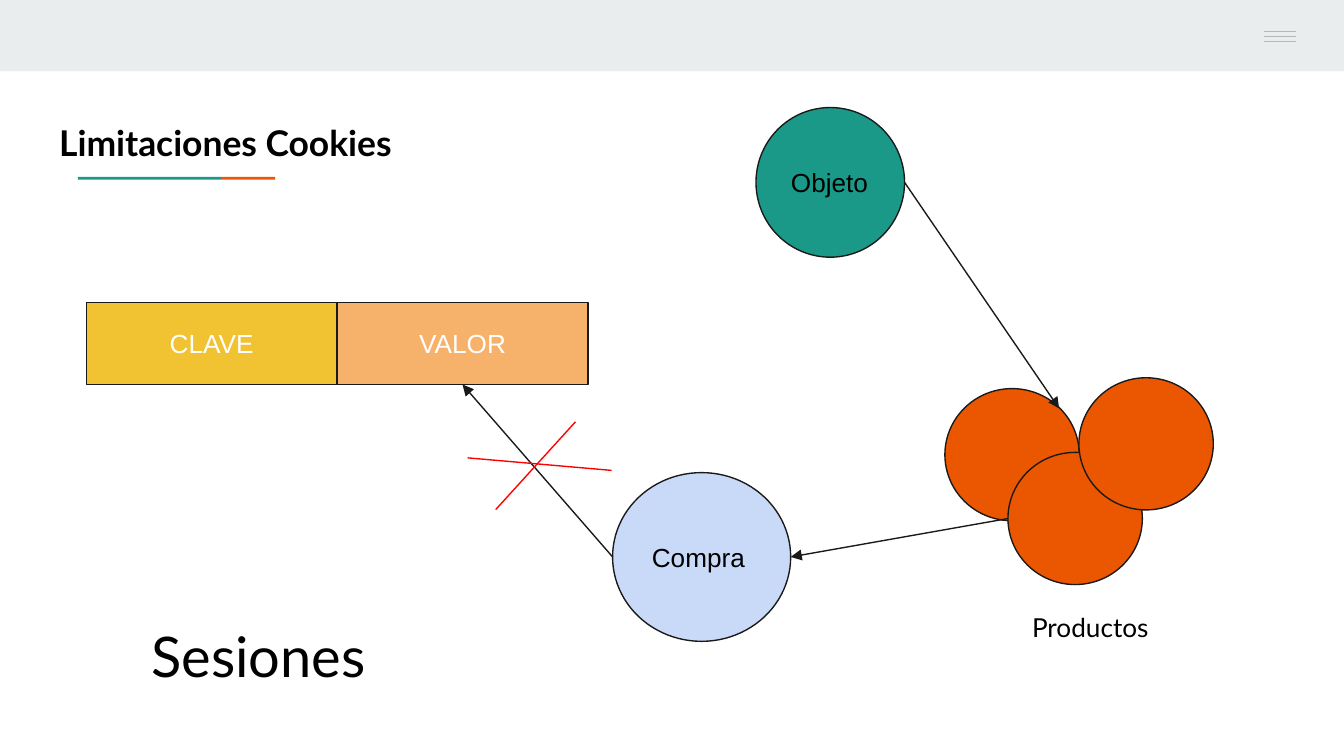
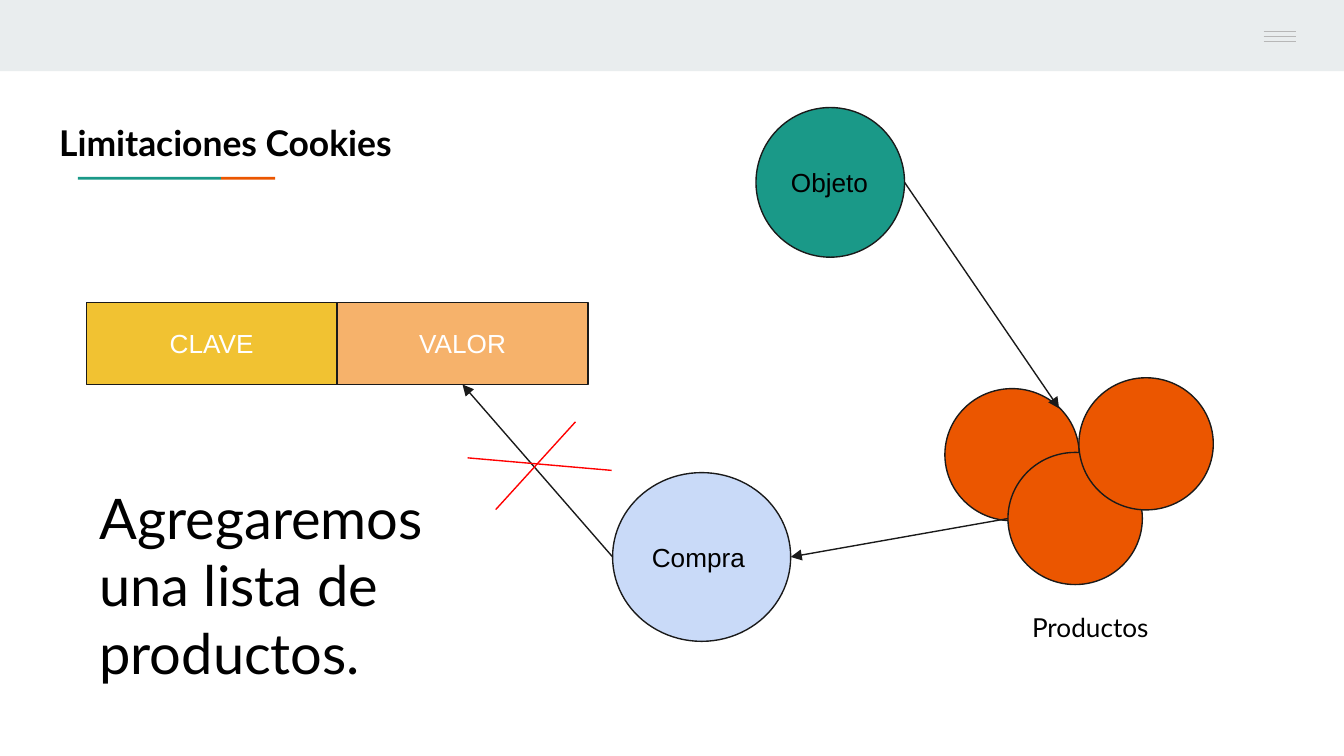
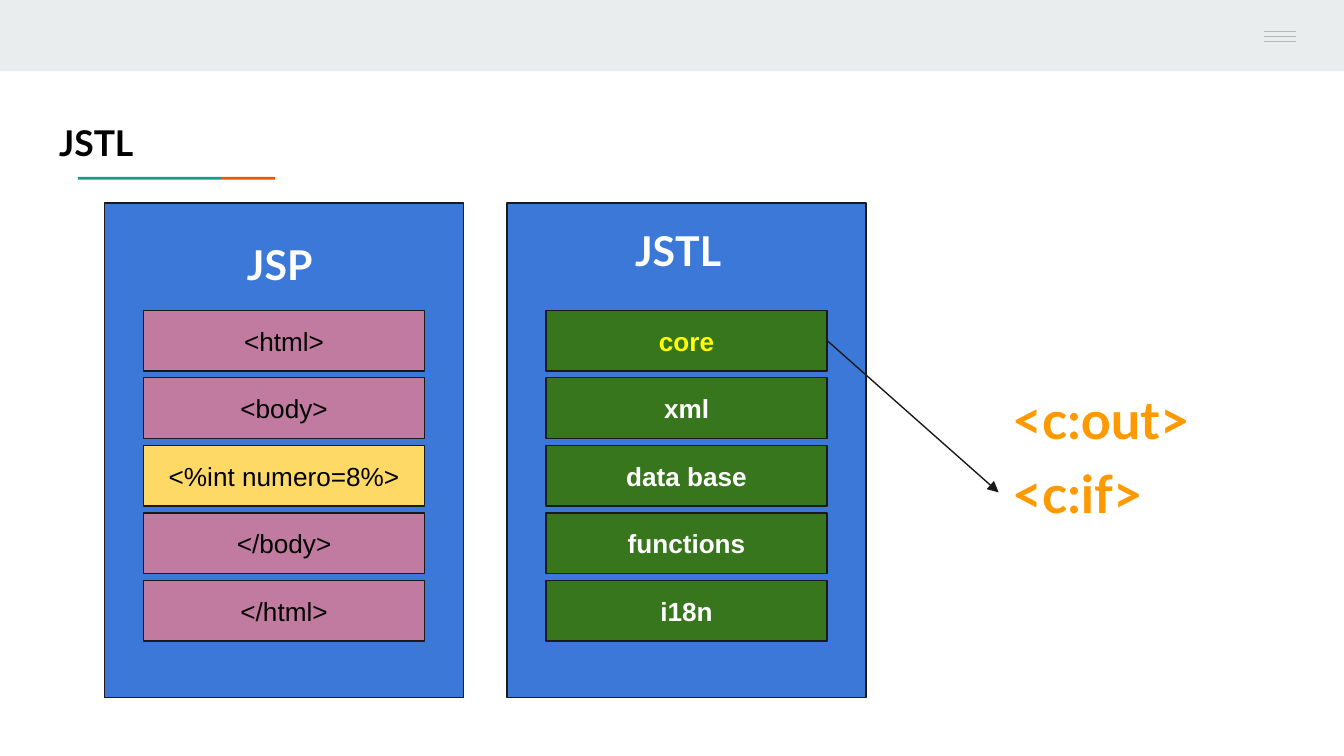
from lxml import etree
from pptx import Presentation
from pptx.dml.color import RGBColor
from pptx.enum.shapes import MSO_CONNECTOR, MSO_SHAPE
from pptx.enum.text import MSO_ANCHOR, PP_ALIGN
from pptx.oxml.ns import qn
from pptx.util import Pt

RECTANGLE, OVAL = MSO_SHAPE.RECTANGLE, MSO_SHAPE.OVAL
STRAIGHT = MSO_CONNECTOR.STRAIGHT
TOP, MIDDLE = MSO_ANCHOR.TOP, MSO_ANCHOR.MIDDLE
LEFT, CENTER = PP_ALIGN.LEFT, PP_ALIGN.CENTER

WHITE = RGBColor(0xFF, 0xFF, 0xFF)
BLACK = RGBColor(0x00, 0x00, 0x00)
INK = RGBColor(0x1A, 0x1A, 0x1A)
BAND = RGBColor(0xE9, 0xED, 0xEE)
GRAY = RGBColor(0xB7, 0xB7, 0xB7)
TEAL = RGBColor(0x1A, 0x99, 0x88)
ORANGE = RGBColor(0xEB, 0x56, 0x00)
GOLD = RGBColor(0xF1, 0xC2, 0x32)
PEACH = RGBColor(0xF6, 0xB2, 0x6B)
PALE_BLUE = RGBColor(0xC9, 0xDA, 0xF8)
BLUE = RGBColor(0x3C, 0x78, 0xD8)
GREEN = RGBColor(0x38, 0x76, 0x1D)
PINK = RGBColor(0xC2, 0x7B, 0xA0)
SAND = RGBColor(0xFF, 0xD9, 0x66)
AMBER = RGBColor(0xFF, 0x99, 0x00)
YELLOW = RGBColor(0xFF, 0xFF, 0x00)
RED = RGBColor(0xFF, 0x00, 0x00)

HEADING_FONT, BODY_FONT = "Lato", "Arial"
SLIDE_WIDTH, SLIDE_HEIGHT = 720, 405
LINE_WIDTH = 0.75
INSET = 7.2

# Content: boxes are (left, top, width, height) in points
TITLE_BOX = (24.5, 57.6, 264, 37.4)
COOKIES_TITLE = "Limitaciones Cookies"
COOKIES_MESSAGES = [
    ("Sesiones", (74, 325.5, 134, 51)),
    ("Agregaremos una lista de productos.", (46.2, 252, 194.5, 124)),
]
PAIR = [("CLAVE", GOLD), ("VALOR", PEACH)]
PAIR_BOX = (46.2, 162, 134.4, 44)
PRODUCT_SIZE = (72, 70.8)
PRODUCT_CORNERS = [(506.2, 208.2), (540, 242.4), (578, 202.4)]
PRODUCTS_LABEL = ("Productos", (545.8, 320.5, 174, 31.7))
OBJECT = ("Objeto", (405, 57.6, 79.6, 80.2), TEAL)
PURCHASE = ("Compra", (328.2, 253.2, 95.4, 90.4), PALE_BLUE)
CROSS_LINES = [((250.5, 245.3), (327.7, 252)), ((308.3, 226), (265.6, 273))]

JSTL_TITLE = "JSTL"
PANELS = [
    {"heading": "JSP", "left": 56, "heading_box": (125.2, 121, 54, 67.7),
     "bold": False,
     "rows": [("<html>", PINK, BLACK), ("<body>", PINK, BLACK),
              ("<%int numero=8%>", SAND, BLACK),
              ("</body>", PINK, BLACK), ("</html>", PINK, BLACK)]},
    {"heading": "JSTL", "left": 271.6, "heading_box": (333.2, 113.8, 119.5, 67.7),
     "bold": True,
     "rows": [("core", GREEN, YELLOW)] + [
         (name, GREEN, WHITE) for name in ("xml", "data base", "functions", "i18n")]},
]
PANEL_TOP, PANEL_WIDTH, PANEL_HEIGHT = 108.7, 192.4, 265
ROW_TOP, ROW_PITCH, ROW_WIDTH, ROW_HEIGHT = 166.2, 36.2, 150.6, 32.5
TAGS = ["<c:out>", "<c:if>"]
TAG_LEFT, TAG_TOP, TAG_PITCH, TAG_WIDTH, TAG_HEIGHT = 535, 200.2, 39.6, 150.5, 48


def points(values):
    return [Pt(value) for value in values]


def edge_point(box, across, down):
    """Point at the given fractions of a box's width and height."""
    left, top, width, height = box
    return left + width * across, top + height * down


def write(shape, text, size, color, font=BODY_FONT, bold=False, align=LEFT, anchor=TOP):
    frame = shape.text_frame
    frame.text = text
    frame.word_wrap = True
    frame.vertical_anchor = anchor
    frame.margin_left = frame.margin_right = Pt(INSET)
    frame.margin_top = frame.margin_bottom = Pt(INSET)
    paragraph = frame.paragraphs[0]
    paragraph.alignment = align
    run_font = paragraph.runs[0].font
    run_font.name, run_font.size, run_font.bold = font, Pt(size), bold
    run_font.color.rgb = color


def add_block(slide, kind, box, fill, outline=INK):
    shape = slide.shapes.add_shape(kind, *points(box))
    shape.shadow.inherit = False
    shape.fill.solid()
    shape.fill.fore_color.rgb = fill
    if outline is None:
        shape.line.fill.background()
    else:
        shape.line.color.rgb = outline
        shape.line.width = Pt(LINE_WIDTH)
    return shape


def add_label(slide, text, box, size, color=BLACK, bold=False):
    write(slide.shapes.add_textbox(*points(box)), text, size, color, HEADING_FONT, bold)


def add_line(slide, start, end, color=INK, arrow=False):
    connector = slide.shapes.add_connector(STRAIGHT, *points(start + end))
    connector.line.color.rgb = color
    connector.line.width = Pt(LINE_WIDTH)
    properties = connector.element.spPr
    if arrow:
        etree.SubElement(properties.find(qn("a:ln")), qn("a:tailEnd"), type="triangle")
    etree.SubElement(properties, qn("a:effectLst"))
    return connector


def decorate_layout(layout, slide):
    """Draw the band, menu icon and title rule, then move them to the layout."""
    for placeholder in list(layout.placeholders):
        if placeholder.placeholder_format.idx:
            layout.shapes.element.remove(placeholder.element)
    decorations = [
        add_block(slide, RECTANGLE, (0, 0, SLIDE_WIDTH, 38.2), BAND, None),
        add_block(slide, RECTANGLE, (41.8, 94.7, 76.6, 1.5), TEAL, None),
        add_block(slide, RECTANGLE, (118.4, 94.7, 29, 1.5), ORANGE, None),
    ]
    for index in range(3):
        y = 16.9 + 2.6 * index
        decorations.append(add_line(slide, (677, y), (694.3, y), GRAY))
    for shape in decorations:
        layout.shapes.element.append(shape.element)


def add_title(slide, text):
    title = slide.shapes.title
    title.left, title.top, title.width, title.height = points(TITLE_BOX)
    write(title, text, 19, BLACK, HEADING_FONT, True)


def build_cookies(slide, message, message_box):
    add_title(slide, COOKIES_TITLE)

    # Key and value pair
    left, top, width, height = PAIR_BOX
    for index, (text, fill) in enumerate(PAIR):
        value_box = (left + index * width, top, width, height)
        cell = add_block(slide, RECTANGLE, value_box, fill)
        write(cell, text, 14, WHITE, align=CENTER, anchor=MIDDLE)

    # Circles
    product_boxes = [corner + PRODUCT_SIZE for corner in PRODUCT_CORNERS]
    for box in product_boxes:
        add_block(slide, OVAL, box, ORANGE)
    for text, box, fill in (OBJECT, PURCHASE):
        write(add_block(slide, OVAL, box, fill), text, 14, BLACK, anchor=MIDDLE)

    # Labels
    add_label(slide, *PRODUCTS_LABEL, 14)
    add_label(slide, message, message_box, 30)

    # Arrows and the red cross
    object_box, purchase_box = OBJECT[1], PURCHASE[1]
    arrows = [
        (edge_point(object_box, 1, 0.5), edge_point(product_boxes[0], 0.85, 0.15)),
        (edge_point(product_boxes[1], 0, 0.5), edge_point(purchase_box, 1, 0.5)),
        (edge_point(purchase_box, 0, 0.5), edge_point(value_box, 0.5, 1)),
    ]
    for start, end in arrows:
        add_line(slide, start, end, arrow=True)
    for start, end in CROSS_LINES:
        add_line(slide, start, end, RED)


def build_jstl(slide):
    add_title(slide, JSTL_TITLE)

    # Panels with their rows
    for panel in PANELS:
        add_block(slide, RECTANGLE, (panel["left"], PANEL_TOP, PANEL_WIDTH, PANEL_HEIGHT), BLUE)
        add_label(slide, panel["heading"], panel["heading_box"], 22, WHITE, True)
        row_left = panel["left"] + (PANEL_WIDTH - ROW_WIDTH) / 2
        for index, (text, fill, color) in enumerate(panel["rows"]):
            box = (row_left, ROW_TOP + index * ROW_PITCH, ROW_WIDTH, ROW_HEIGHT)
            row = add_block(slide, RECTANGLE, box, fill)
            write(row, text, 14, color, bold=panel["bold"], align=CENTER, anchor=MIDDLE)

    # Tags of the core library
    for index, tag in enumerate(TAGS):
        box = (TAG_LEFT, TAG_TOP + index * TAG_PITCH, TAG_WIDTH, TAG_HEIGHT)
        add_label(slide, tag, box, 28, AMBER, True)
    core_box = (row_left, ROW_TOP, ROW_WIDTH, ROW_HEIGHT)
    add_line(slide, edge_point(core_box, 1, 0.5), edge_point(box, 0, 0.5), arrow=True)


def main():
    presentation = Presentation()
    presentation.slide_width, presentation.slide_height = Pt(SLIDE_WIDTH), Pt(SLIDE_HEIGHT)
    layout = presentation.slide_layouts.get_by_name("Title Only")
    slides = [presentation.slides.add_slide(layout) for _ in range(3)]
    decorate_layout(layout, slides[0])
    for slide, (message, box) in zip(slides, COOKIES_MESSAGES):
        build_cookies(slide, message, box)
    build_jstl(slides[-1])
    presentation.save("out.pptx")


if __name__ == "__main__":
    main()
